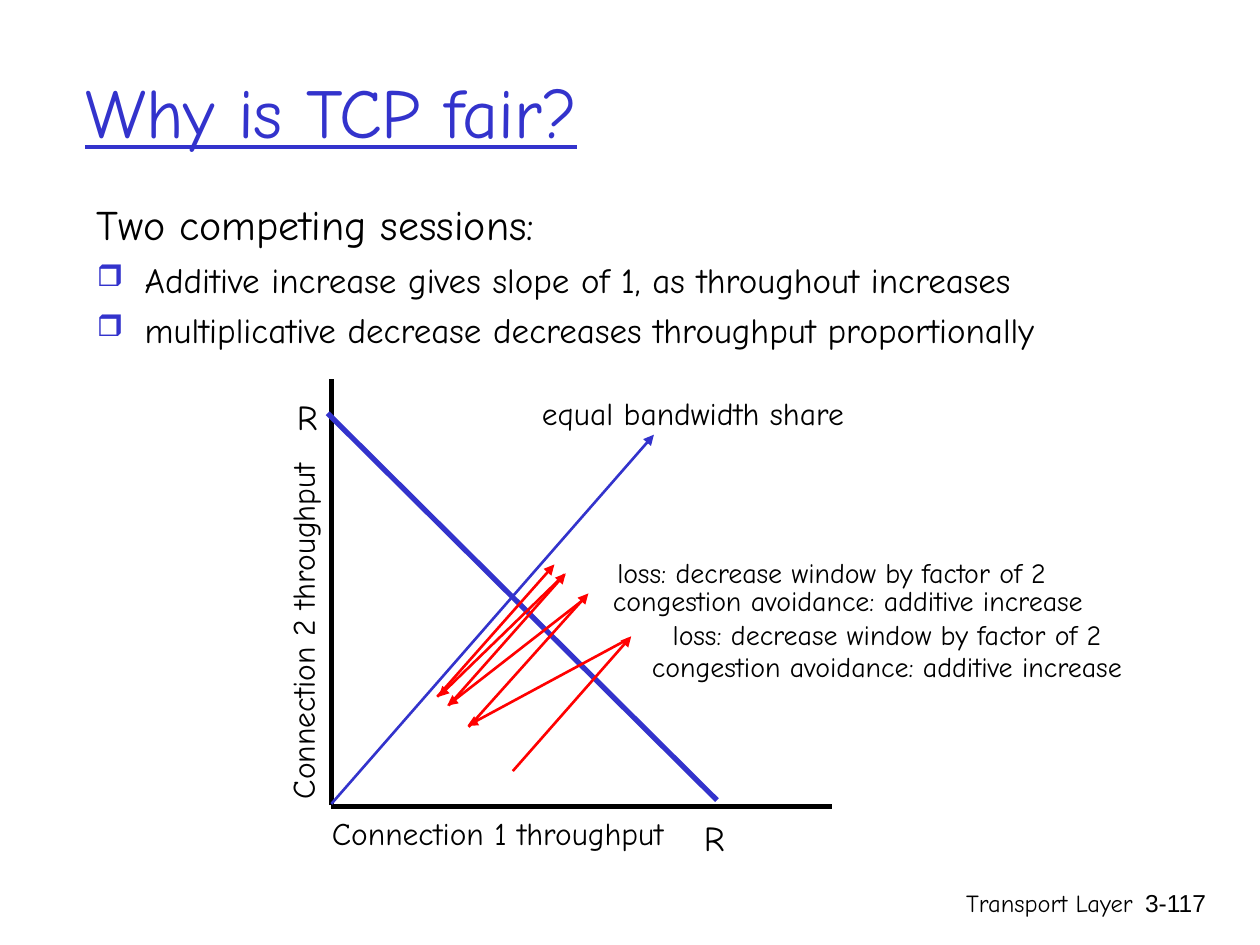
from lxml.etree import SubElement
from pptx import Presentation
from pptx.dml.color import RGBColor
from pptx.enum.shapes import MSO_CONNECTOR
from pptx.enum.text import MSO_ANCHOR, PP_ALIGN
from pptx.oxml.ns import qn
from pptx.util import Inches, Pt

COLORS = {"text": "000000", "accent": "3333CC", "sawtooth": "FF0000"}
FONT = "Comic Neue"

deck = Presentation()
deck.slide_width, deck.slide_height = Inches(10), Inches(7.5)
page = deck.slides.add_slide(deck.slide_layouts[6])


def add_text(bounds, lines, color="text", wrap=True, anchor=MSO_ANCHOR.TOP,
             align=PP_ALIGN.CENTER, font=FONT, underline=None):
    """Add a text box; each line is (text, size, space before)."""
    box = page.shapes.add_textbox(*[Inches(value) for value in bounds])
    frame = box.text_frame
    frame.word_wrap, frame.vertical_anchor = wrap, anchor
    for index, (text, size, before) in enumerate(lines):
        para = frame.add_paragraph() if index else frame.paragraphs[0]
        para.alignment, para.space_before = align, Pt(before)
        span = para.add_run()
        span.text = text
        formats = {"name": font, "size": Pt(size), "underline": underline}
        for name, value in formats.items():
            setattr(span.font, name, value)
        span.font.color.rgb = RGBColor.from_string(COLORS[color])
    return box


def add_line(start, end, color, width, arrow=False):
    """Add a straight line, with an arrowhead at its end if asked."""
    line = page.shapes.add_connector(
        MSO_CONNECTOR.STRAIGHT, *[Inches(value) for value in start + end])
    line.line.color.rgb = RGBColor.from_string(COLORS[color])
    line.line.width = Pt(width)
    if arrow:
        SubElement(line.line._get_or_add_ln(), qn("a:tailEnd"), type="triangle")
    SubElement(line._element.spPr, qn("a:effectLst"))


# Footer
add_text((5.92, 7, 3.17, 0.5), [("Transport Layer", 14, 0)], align=PP_ALIGN.RIGHT)
add_text((8.93, 7, 0.74, 0.5), [("3-117", 14, 0)], align=PP_ALIGN.RIGHT, font="Arial")

# Title
add_text((0.58, 0.25, 8.5, 1.25), [("Why is TCP fair?", 40, 0)], color="accent",
         anchor=MSO_ANCHOR.MIDDLE, align=PP_ALIGN.LEFT, underline=True)

# Body: a lead line and two bullets
body = add_text((0.67, 1.53, 9.08, 5.08), [
    ("Two competing sessions:", 24, 6),
    ("Additive increase gives slope of 1, as throughout increases", 20, 5),
    ("multiplicative decrease decreases throughput proportionally", 20, 5),
], align=PP_ALIGN.LEFT)
for index, para in enumerate(body.text_frame.paragraphs):
    properties = para._p.get_or_add_pPr()
    properties.set("marL", str(Inches(0.38)))
    properties.set("indent", str(-Inches(0.38)))
    if index:
        bullet_color = SubElement(properties, qn("a:buClr"))
        SubElement(bullet_color, qn("a:srgbClr"), val=COLORS["accent"])
        SubElement(properties, qn("a:buSzPct"), val="85000")
        SubElement(properties, qn("a:buChar"), char="❒")

# Axes, equal share line and full bandwidth line
add_line((2.63, 6.4), (6.6, 6.4), "text", 3)
add_line((2.63, 6.39), (2.63, 3.01), "text", 3)
add_line((2.63, 6.38), (5.19, 3.45), "accent", 1.5, arrow=True)
add_line((2.6, 3.28), (5.69, 6.35), "accent", 3)

# Axis labels
for left, top in [(2.22, 3.09), (5.45, 6.43)]:
    add_text((left, top, 0.44, 0.44), [("R", 20, 12.5)])
for left, top, label, rotation in [
    (3.56, 3.08, "equal bandwidth share", 0),
    (2.01, 6.41, "Connection 1 throughput", 0),
    (0.46, 4.81, "Connection 2 throughput", 270),
]:
    add_text((left, top, 3.88, 0.4), [(label, 18, 11.2)]).rotation = rotation

# Sawtooth: climbs by additive increase, drops on loss
for start, end in [
    ((4.07, 6.12), (5.01, 5.05)),
    ((4.99, 5.07), (3.71, 5.76)),
    ((3.72, 5.77), (4.67, 4.71)),
    ((4.63, 4.76), (3.55, 5.6)),
    ((3.56, 5.6), (4.49, 4.55)),
    ((4.48, 4.56), (3.48, 5.53)),
    ((3.47, 5.53), (4.4, 4.48)),
]:
    add_line(start, end, "sawtooth", 1.5, arrow=True)

# Sawtooth notes
for left, top in [(4.56, 5.11), (4.25, 4.58)]:
    add_text((left, top, 4.96, 0.37),
             [("congestion avoidance: additive increase", 16, 10)])
for left, top in [(5.23, 4.85), (4.79, 4.36)]:
    add_text((left, top, 3.62, 0.37),
             [("loss: decrease window by factor of 2", 16, 0)], wrap=False)

deck.save("out.pptx")
